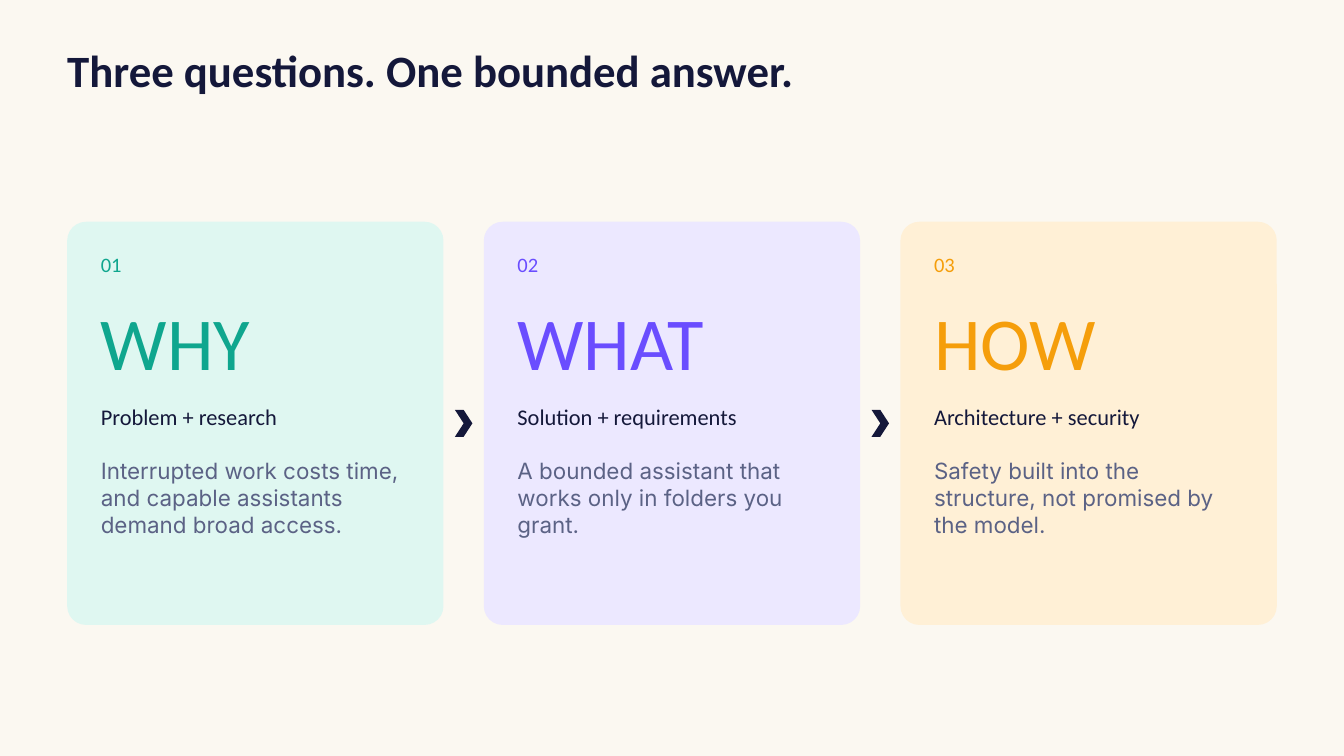
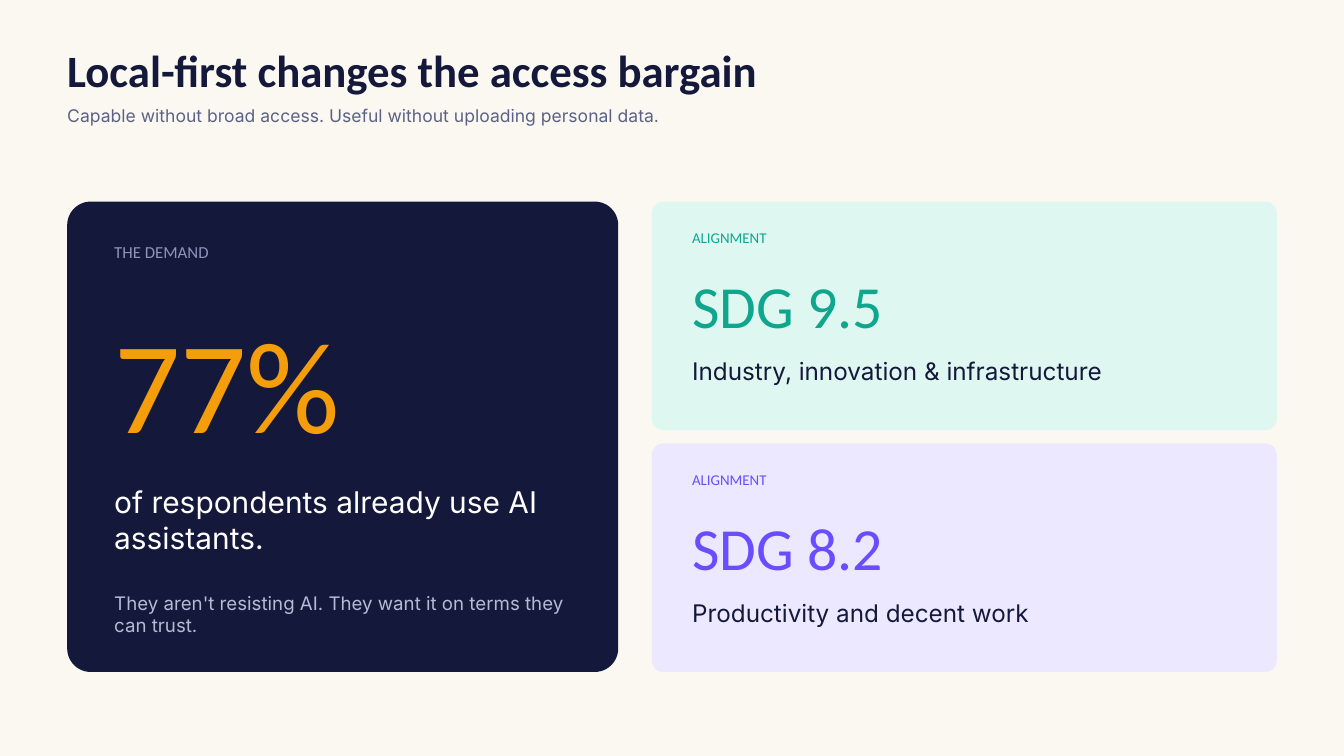
from dataclasses import dataclass

import pptx
import pptx.dml.color
import pptx.enum.shapes
import pptx.enum.text
import pptx.oxml
import pptx.oxml.ns
import pptx.presentation
import pptx.shapes.autoshape
import pptx.shapes.base
import pptx.slide
import pptx.util

RGBColor = pptx.dml.color.RGBColor
Shapes = pptx.enum.shapes.MSO_SHAPE

CREAM = RGBColor(0xFB, 0xF8, 0xF1)
NAVY = RGBColor(0x14, 0x18, 0x3A)
SLATE = RGBColor(0x5B, 0x62, 0x85)
MUTED = RGBColor(0x8E, 0x95, 0xB8)
MIST = RGBColor(0xB4, 0xBA, 0xD8)
WHITE = RGBColor(0xFF, 0xFF, 0xFF)
TEAL = RGBColor(0x0F, 0xA6, 0x8E)
MINT = RGBColor(0xDF, 0xF7, 0xF1)
VIOLET = RGBColor(0x6A, 0x4D, 0xFF)
LAVENDER = RGBColor(0xEC, 0xE8, 0xFF)
AMBER = RGBColor(0xF5, 0x9E, 0x0B)
SAND = RGBColor(0xFF, 0xF0, 0xD6)

HEADING_FONT = "Calibri"
BODY_FONT = "Inter"

SLIDE_WIDTH = pptx.util.Inches(20)
SLIDE_HEIGHT = pptx.util.Inches(11.25)
COLUMNS = 20
CELL = SLIDE_WIDTH // COLUMNS
MARGIN = 1
CONTENT_WIDTH = COLUMNS - 2 * MARGIN

TITLE_ONLY_LAYOUT = 5
TITLE_AND_BODY_LAYOUT = 1


@dataclass(frozen=True)
class Area:
    column: float
    row: float
    width: float
    height: float


@dataclass(frozen=True)
class TextStyle:
    size: float
    font: str
    color: RGBColor
    bold: bool = False
    line_points: float | None = None


@dataclass(frozen=True)
class Question:
    number: str
    word: str
    topic: str
    answer: str
    accent: RGBColor
    tint: RGBColor


@dataclass(frozen=True)
class Goal:
    name: str
    theme: str
    accent: RGBColor
    tint: RGBColor


TITLE_AREA = Area(MARGIN, 0.73, 15.62, 0.82)
SUBTITLE_AREA = Area(MARGIN, 1.53, 15.62, 0.34)
TITLE_STYLE = TextStyle(48, HEADING_FONT, NAVY, True, 50.4)
SUBTITLE_STYLE = TextStyle(18.8, BODY_FONT, SLATE, False, 25.3)

QUESTIONS = (
    Question("01", "WHY", "Problem + research",
             "Interrupted work costs time, and capable assistants demand broad access.",
             TEAL, MINT),
    Question("02", "WHAT", "Solution + requirements",
             "A bounded assistant that works only in folders you grant.",
             VIOLET, LAVENDER),
    Question("03", "HOW", "Architecture + security",
             "Safety built into the structure, not promised by the model.",
             AMBER, SAND),
)

GOALS = (
    Goal("SDG 9.5", "Industry, innovation & infrastructure", TEAL, MINT),
    Goal("SDG 8.2", "Productivity and decent work", VIOLET, LAVENDER),
)


def place(shape: pptx.shapes.base.BaseShape, area: Area) -> None:
    shape.left = round(area.column * CELL)
    shape.top = round(area.row * CELL)
    shape.width = round(area.width * CELL)
    shape.height = round(area.height * CELL)


def write(box: pptx.shapes.base.BaseShape, area: Area, text: str, style: TextStyle) -> None:
    place(box, area)
    frame = box.text_frame
    frame.text = text
    frame.word_wrap = True
    frame.auto_size = pptx.enum.text.MSO_AUTO_SIZE.SHAPE_TO_FIT_TEXT
    frame.vertical_anchor = pptx.enum.text.MSO_ANCHOR.TOP
    frame.margin_left = frame.margin_top = frame.margin_right = frame.margin_bottom = 0
    para = frame.paragraphs[0]
    para.alignment = pptx.enum.text.PP_ALIGN.LEFT
    para.space_before = pptx.util.Pt(0)
    if style.line_points:
        para.line_spacing = pptx.util.Pt(style.line_points)
    font = para.runs[0].font
    font.size = pptx.util.Pt(style.size)
    font.name = style.font
    font.bold = style.bold
    font.color.rgb = style.color


def add_text(page: pptx.slide.Slide, area: Area, text: str, style: TextStyle) -> None:
    write(page.shapes.add_textbox(0, 0, 0, 0), area, text, style)


def add_shape(page: pptx.slide.Slide, kind: Shapes, area: Area,
              color: RGBColor) -> pptx.shapes.autoshape.Shape:
    shape = page.shapes.add_shape(kind, 0, 0, 0, 0)
    place(shape, area)
    shape.shadow.inherit = False
    shape.fill.solid()
    shape.fill.fore_color.rgb = color
    shape.line.fill.background()
    return shape


def add_card(page: pptx.slide.Slide, area: Area, color: RGBColor) -> None:
    card = add_shape(page, Shapes.ROUNDED_RECTANGLE, area, color)
    card.adjustments[0] = 0.05


def add_page(deck: pptx.presentation.Presentation, title: str,
             subtitle: str = "") -> pptx.slide.Slide:
    layout = TITLE_AND_BODY_LAYOUT if subtitle else TITLE_ONLY_LAYOUT
    page = deck.slides.add_slide(deck.slide_layouts[layout])
    page.background.fill.solid()
    page.background.fill.fore_color.rgb = CREAM
    write(page.shapes.title, TITLE_AREA, title, TITLE_STYLE)
    if subtitle:
        body = page.placeholders[1]
        write(body, SUBTITLE_AREA, subtitle, SUBTITLE_STYLE)
        properties = body.text_frame.paragraphs[0]._p.get_or_add_pPr()
        properties.set("marL", "0")
        properties.set("indent", "0")
        properties.append(pptx.oxml.parse_xml(
            f"<a:buNone {pptx.oxml.ns.nsdecls('a')}/>"))
    return page


def add_question(page: pptx.slide.Slide, area: Area, question: Question) -> None:
    add_card(page, area, question.tint)
    padding = 0.5
    lines = (
        (0.45, 0.5, question.number, TextStyle(22, HEADING_FONT, question.accent)),
        (1.1, 1.3, question.word, TextStyle(80, HEADING_FONT, question.accent)),
        (2.7, 0.5, question.topic, TextStyle(24, HEADING_FONT, NAVY)),
        (3.5, 2.2, question.answer, TextStyle(24, BODY_FONT, SLATE)),
    )
    for offset, height, text, style in lines:
        line_area = Area(area.column + padding, area.row + offset,
                         area.width - 2 * padding, height)
        add_text(page, line_area, text, style)


def build_questions(deck: pptx.presentation.Presentation) -> None:
    page = add_page(deck, "Three questions. One bounded answer.")
    gap, top, height = 0.6, 3.3, 6
    arrow_width, arrow_height = 0.26, 0.4
    width = (CONTENT_WIDTH - gap * (len(QUESTIONS) - 1)) / len(QUESTIONS)
    for index, question in enumerate(QUESTIONS):
        left = MARGIN + index * (width + gap)
        add_question(page, Area(left, top, width, height), question)
        if index < len(QUESTIONS) - 1:
            arrow = Area(left + width + (gap - arrow_width) / 2,
                         top + (height - arrow_height) / 2, arrow_width, arrow_height)
            add_shape(page, Shapes.CHEVRON, arrow, NAVY)


def add_demand(page: pptx.slide.Slide, area: Area) -> None:
    add_card(page, area, NAVY)
    lines = (
        (0.6, 0.4, "THE DEMAND", TextStyle(18, HEADING_FONT, MUTED)),
        (1.5, 2.4, "77%", TextStyle(140, HEADING_FONT, AMBER)),
        (4.2, 2.2, "of respondents already use AI assistants.",
         TextStyle(32, BODY_FONT, WHITE)),
        (5.8, 0.9, "They aren't resisting AI. They want it on terms they can trust.",
         TextStyle(20, BODY_FONT, MIST)),
    )
    for offset, height, text, style in lines:
        add_text(page, Area(area.column + 0.7, area.row + offset, 6.8, height), text, style)


def add_goal(page: pptx.slide.Slide, area: Area, goal: Goal) -> None:
    add_card(page, area, goal.tint)
    lines = (
        (0.4, 4, 0.4, "ALIGNMENT", TextStyle(16, HEADING_FONT, goal.accent)),
        (1, 8, 1.3, goal.name, TextStyle(64, HEADING_FONT, goal.accent)),
        (2.3, 8, 0.8, goal.theme, TextStyle(26, BODY_FONT, NAVY)),
    )
    for offset, width, height, text, style in lines:
        add_text(page, Area(area.column + 0.6, area.row + offset, width, height), text, style)


def build_bargain(deck: pptx.presentation.Presentation) -> None:
    page = add_page(deck, "Local-first changes the access bargain",
                    "Capable without broad access. Useful without uploading personal data.")
    top, height, demand_width = 3, 7, 8.2
    column_gap, row_gap = 0.5, 0.2
    add_demand(page, Area(MARGIN, top, demand_width, height))
    goal_left = MARGIN + demand_width + column_gap
    goal_width = CONTENT_WIDTH - demand_width - column_gap
    goal_height = (height - row_gap * (len(GOALS) - 1)) / len(GOALS)
    for index, goal in enumerate(GOALS):
        row = top + index * (goal_height + row_gap)
        add_goal(page, Area(goal_left, row, goal_width, goal_height), goal)


def main() -> None:
    deck = pptx.Presentation()
    deck.slide_width = SLIDE_WIDTH
    deck.slide_height = SLIDE_HEIGHT
    build_questions(deck)
    build_bargain(deck)
    deck.save("out.pptx")


if __name__ == "__main__":
    main()
